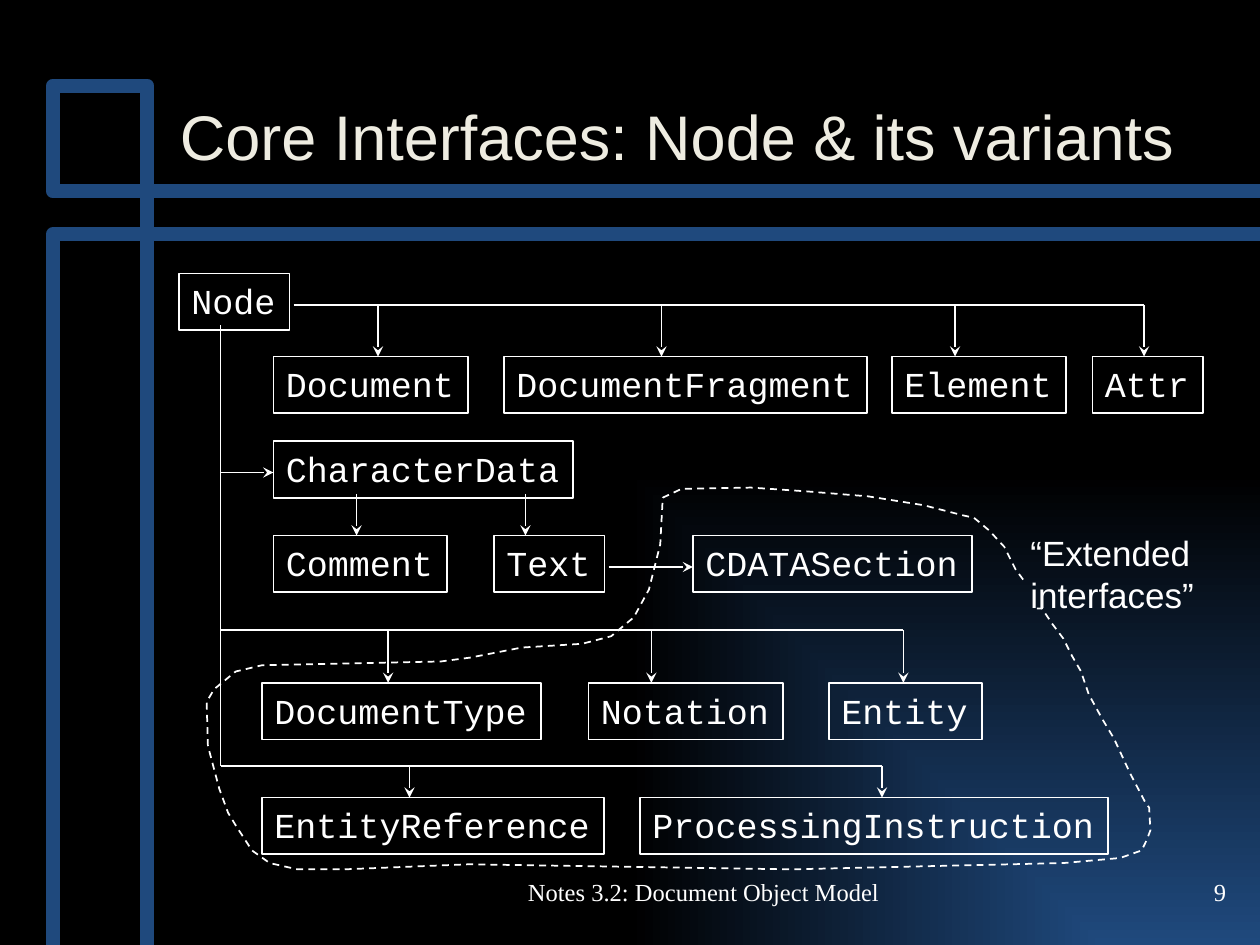
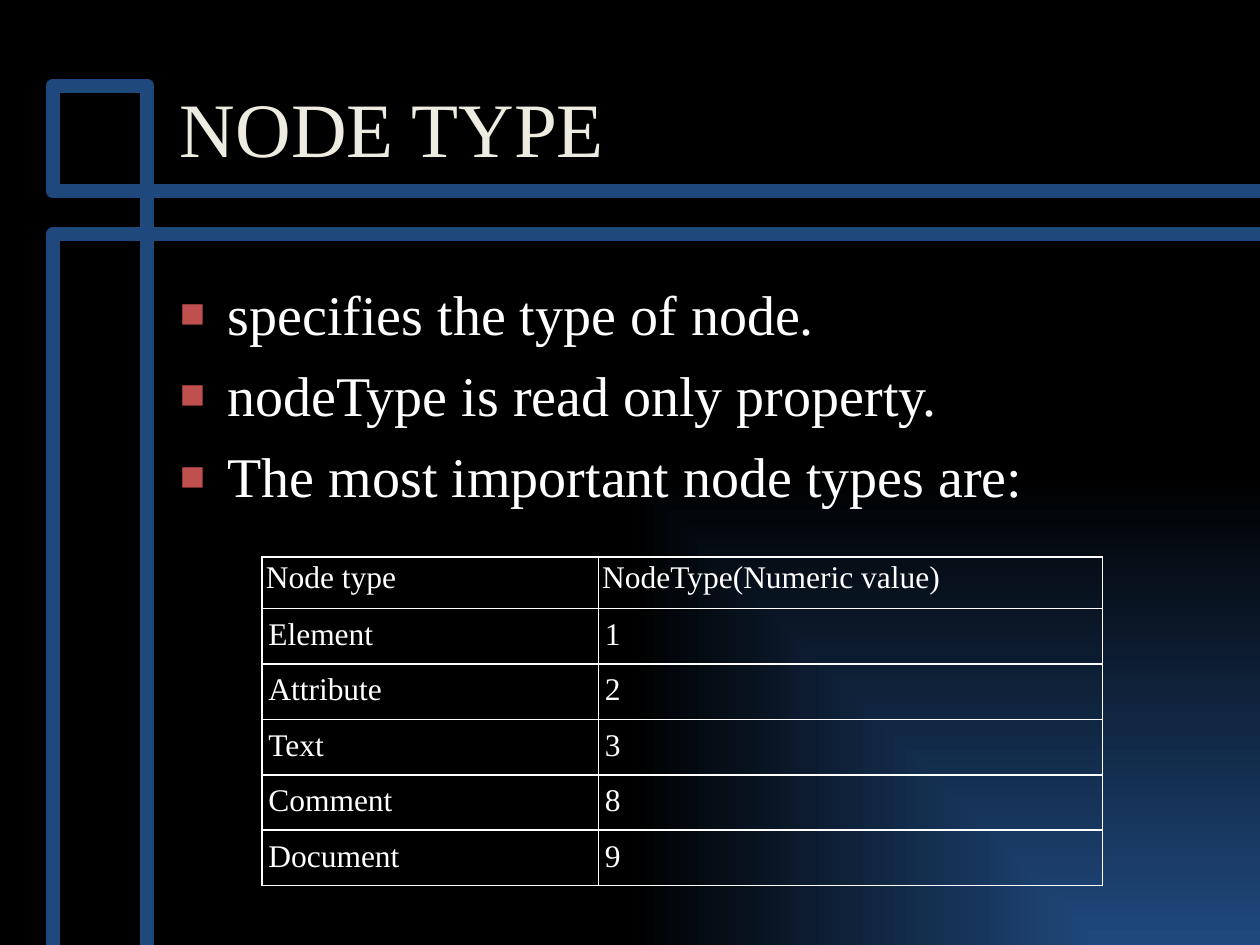
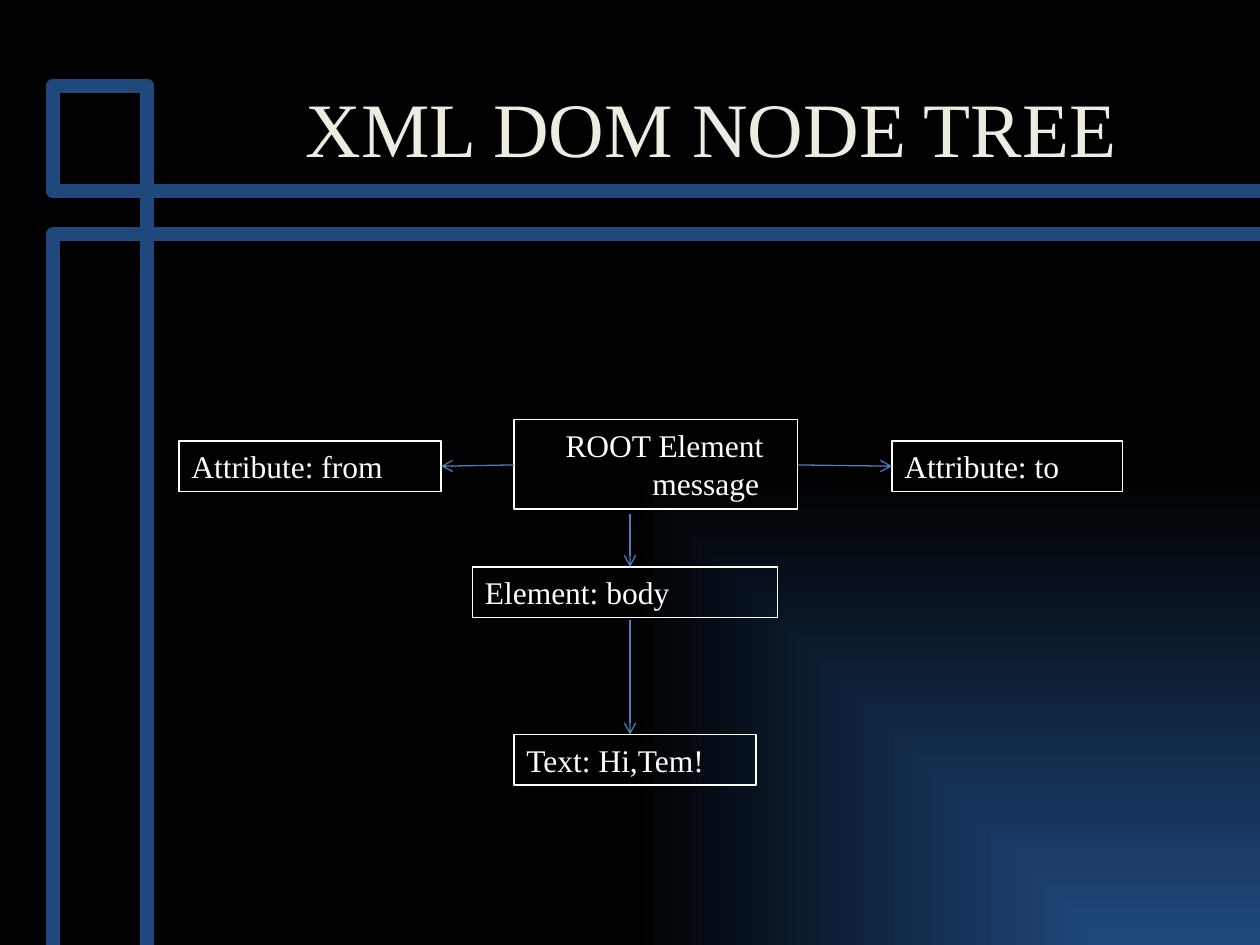
from collections import namedtuple

from lxml import etree
from pptx import Presentation
from pptx import util as u
from pptx.dml.color import RGBColor
from pptx.enum import dml, shapes, text
from pptx.oxml.ns import qn

NAVY = RGBColor(0x1F, 0x49, 0x7D)
BLACK = RGBColor(0, 0, 0)
WHITE = RGBColor(0xFF, 0xFF, 0xFF)
CREAM = RGBColor(0xEE, 0xEC, 0xE1)
RED = RGBColor(0xC0, 0x50, 0x4D)
BLUE = RGBColor(0x4B, 0x7E, 0xBC)

SERIF, SANS, MONO = "Times New Roman", "Arial", "Courier New"
TOP, MIDDLE, BOTTOM = (text.MSO_ANCHOR.TOP, text.MSO_ANCHOR.MIDDLE,
                       text.MSO_ANCHOR.BOTTOM)
LEFT, CENTER, RIGHT = (text.PP_ALIGN.LEFT, text.PP_ALIGN.CENTER,
                       text.PP_ALIGN.RIGHT)

Box = namedtuple("Box", "left top width height")
SLIDE = Box(0, 0, 10, 7.5)
TITLE = Box(1.33, 0.23, 8.5, 1.19)
BODY = Box(1.33, 2.17, 8.5, 4.5)
TABLE = Box(2.08, 4.42, 6.67, 2.46)
INTERFACES = Box(1.42, 2.17, 8.13, 4.8)
EXTENDED = Box(1.64, 3.85, 7.49, 3.09)
TREE = Box(1.42, 3.33, 7.49, 2.9)
FOOTER = Box(4, 6.83, 3.17, 0.5)
NUMBER = Box(7.75, 6.83, 2.08, 0.5)

OUTLINE = [
    (6.48, 0.75), (6.42, 0.67), (6.4, 0.63), (6.33, 0.49), (6.21, 0.36),
    (6.09, 0.26), (6, 0.24), (5.69, 0.16), (5.25, 0.09), (4.76, 0.05),
    (4.32, 0.02), (3.77, 0.03), (3.62, 0.1), (3.6, 0.47), (3.51, 0.83),
    (3.39, 1.05), (3.21, 1.2), (2.98, 1.26), (2.5, 1.29), (2.09, 1.37),
    (1.86, 1.4), (0.44, 1.43), (0.23, 1.48), (0.06, 1.62), (0, 1.72),
    (0.01, 2.07), (0.1, 2.41), (0.17, 2.6), (0.23, 2.7), (0.36, 2.9),
    (0.5, 3), (0.72, 3.05), (1.09, 3.05), (2.08, 3.01), (4.64, 3.05),
    (6.8, 3), (7.25, 2.96), (7.42, 2.9), (7.46, 2.82), (7.49, 2.74),
    (7.48, 2.56), (7.45, 2.52), (7.33, 2.29), (7.2, 2.01), (7.11, 1.86),
    (7, 1.66), (6.94, 1.48), (6.87, 1.36), (6.8, 1.22), (6.71, 1.1),
    (6.63, 0.98), (6.59, 0.98),
]


def assign(target, values):
    for name, value in values.items():
        setattr(target, name, value)


def inches(values):
    return [u.Inches(value) for value in values]


def inside(region, left, top, width=0, height=0):
    return Box(region.left + left, region.top + top, width, height)


def set_line(shape, color, width):
    shape.line.color.rgb = color
    shape.line.width = u.Pt(width)


def write(frame, lines, font, size, color=WHITE, align=LEFT, indents=(),
          **frame_format):
    assign(frame, {"word_wrap": True, "vertical_anchor": TOP} | frame_format)
    for index, line in enumerate(lines):
        para = frame.add_paragraph() if index else frame.paragraphs[0]
        para.alignment = align
        if indents:
            para._p.get_or_add_pPr().set("marL", str(u.Inches(indents[index])))
        span = para.add_run()
        span.text = line
        assign(span.font, {"name": font, "size": u.Pt(size)})
        span.font.color.rgb = color


def add_text(page, box, lines, font, size, **options):
    frame = page.shapes.add_textbox(*inches(box)).text_frame
    write(frame, lines, font, size, **options)
    return frame


def add_node(page, box, lines, font, size, line_width, **options):
    node = page.shapes.add_shape(shapes.MSO_SHAPE.RECTANGLE, *inches(box))
    node.shadow.inherit = False
    node.fill.background()
    set_line(node, WHITE, line_width)
    write(node.text_frame, lines, font, size,
          auto_size=text.MSO_AUTO_SIZE.SHAPE_TO_FIT_TEXT, **options)


def add_link(page, region, start, end, color=WHITE, width=1, arrow=None):
    ends = inside(region, *start)[:2] + inside(region, *end)[:2]
    link = page.shapes.add_connector(shapes.MSO_CONNECTOR.STRAIGHT, *inches(ends))
    set_line(link, color, width)
    if arrow:
        etree.SubElement(link.line._get_or_add_ln(), qn("a:tailEnd"), type=arrow)
    etree.SubElement(link._element.spPr, qn("a:effectLst"))


def add_path(page, region, points, color, width):
    places = [inches(inside(region, *point)[:2]) for point in points]
    builder = page.shapes.build_freeform(*places[0])
    builder.add_line_segments(places[1:], close=False)
    path = builder.convert_to_shape()
    path.shadow.inherit = False
    path.fill.background()
    set_line(path, color, width)
    return path


def set_background(master):
    fill = master.background.fill
    fill.gradient()
    for stop, color, position in zip(fill.gradient_stops, (NAVY, BLACK), (0, 1)):
        stop.color.rgb = color
        stop.position = position
    gradient = master._element.find(".//" + qn("a:gradFill"))
    gradient.remove(gradient.find(qn("a:lin")))
    shade = etree.SubElement(gradient, qn("a:path"), attrib={"path": "rect"})
    etree.SubElement(shade, qn("a:fillToRect"), l="100000", t="100000")


def add_page(deck, title, font=SERIF, size=44, indent=0):
    page = deck.slides.add_slide(deck.slide_layouts[6])
    for points in (
        [(10.02, 1.86), (0.42, 1.86), (0.42, 7.5)],
        [(1.17, 7.5), (1.17, 0.68), (0.42, 0.68), (0.42, 1.52), (10.02, 1.52)],
    ):
        add_path(page, SLIDE, points, NAVY, 8)
    add_text(page, TITLE, [title], font, size, color=CREAM,
             indents=[indent], vertical_anchor=BOTTOM)
    return page


def add_footer(page, label, number):
    for box, line, align in ((FOOTER, label, CENTER), (NUMBER, number, RIGHT)):
        add_text(page, box, [line], SERIF, 14, align=align, vertical_anchor=MIDDLE)


def add_interfaces(page, region):
    rows = [
        (0, [("Node", 0)]),
        (0.66, [("Document", 0.75), ("DocumentFragment", 2.58),
                ("Element", 5.66), ("Attr", 7.25)]),
        (1.33, [("CharacterData", 0.75)]),
        (2.08, [("Comment", 0.75), ("Text", 2.5), ("CDATASection", 4.08)]),
        (3.25, [("DocumentType", 0.66), ("Notation", 3.25), ("Entity", 5.16)]),
        (4.16, [("EntityReference", 0.66), ("ProcessingInstruction", 3.66)]),
    ]
    for top, names in rows:
        for name, left in names:
            box = inside(region, left, top, 0.21 + 0.167 * len(name), 0.45)
            add_node(page, box, [name], MONO, 20, 1, word_wrap=False)

    trunk = 0.33
    for start, end in (
        ((0.91, 0.25), (7.66, 0.25)),
        ((trunk, 0.41), (trunk, 3.91)),
        ((trunk, 2.83), (5.75, 2.83)),
        ((trunk, 3.91), (5.58, 3.91)),
    ):
        add_link(page, region, start, end)
    for top, bottom, columns in (
        (0.25, 0.66, (1.58, 3.83, 6.16, 7.66)),
        (1.75, 2.08, (1.41, 2.75)),
        (2.83, 3.25, (1.66, 3.75, 5.75)),
        (3.91, 4.16, (1.83, 5.58)),
    ):
        for left in columns:
            add_link(page, region, (left, top), (left, bottom), arrow="stealth")
    for left, right, top in ((trunk, 0.75, 1.58), (3.41, 4.08, 2.33)):
        add_link(page, region, (left, top), (right, top), arrow="stealth")


def add_extended(page, region):
    outline = add_path(page, region, OUTLINE, WHITE, 1)
    outline.line.dash_style = dml.MSO_LINE.DASH
    add_text(page, inside(region, 6.44, 0.32, 1.54, 0.77),
             ["“Extended", "interfaces”"], SANS, 20, word_wrap=False)


def add_bullets(page, box, lines):
    frame = add_text(page, box, lines, SERIF, 32, indents=[0.38] * len(lines))
    for index, para in enumerate(frame.paragraphs):
        props = para._p.get_or_add_pPr()
        props.set("indent", str(u.Inches(-0.38)))
        color = etree.SubElement(props, qn("a:buClr"))
        etree.SubElement(color, qn("a:srgbClr"), val=str(RED))
        etree.SubElement(props, qn("a:buSzPct"), val="75000")
        etree.SubElement(props, qn("a:buFont"), typeface=SANS)
        etree.SubElement(props, qn("a:buChar"), char="■")
        if index:
            para.space_before = u.Pt(8)


def add_borders(cell):
    props = cell._tc.get_or_add_tcPr()
    for side in "LRTB":
        line = etree.SubElement(props, qn("a:ln" + side), w=str(u.Pt(1)))
        fill = etree.SubElement(line, qn("a:solidFill"))
        etree.SubElement(fill, qn("a:srgbClr"), val=str(WHITE))


def add_type_table(page, box, rows):
    table = page.shapes.add_table(len(rows), 2, *inches(box)).table
    assign(table, {"first_row": False, "horz_banding": False})
    for column, width in zip(table.columns, (2.67, 4)):
        column.width = u.Inches(width)
    for index, values in enumerate(rows):
        table.rows[index].height = u.Inches(0.41)
        side, end = (0.05, 0.07) if index else (0.03, 0.03)
        for cell, value in zip(table.rows[index].cells, values):
            assign(cell, {"margin_left": u.Inches(side),
                          "margin_right": u.Inches(side),
                          "margin_top": u.Inches(end),
                          "margin_bottom": u.Inches(end)})
            add_borders(cell)
            cell.fill.background()
            write(cell.text_frame, [value], SERIF, 18)


def add_tree(page, region):
    add_node(page, inside(region, 2.66, 0, 2.25, 0.71),
             ["ROOT Element", "message"], SERIF, 18, 0.75, indents=[0.31, 1])
    for label, left, top, width in (
        ("Attribute: from", 0, 0.17, 2.08),
        ("Attribute: to", 5.66, 0.17, 1.83),
        ("Element: body", 2.33, 1.17, 2.42),
        ("Text: Hi,Tem!", 2.66, 2.5, 1.92),
    ):
        add_node(page, inside(region, left, top, width, 0.4),
                 [label], SERIF, 18, 0.75)
    for start, end in (
        ((3.58, 0.75), (3.58, 1.17)),
        ((3.58, 1.59), (3.58, 2.5)),
        ((2.66, 0.36), (2.08, 0.37)),
        ((4.91, 0.36), (5.66, 0.37)),
    ):
        add_link(page, region, start, end, BLUE, 0.75, "arrow")


def main():
    deck = Presentation()
    assign(deck, {"slide_width": u.Inches(SLIDE.width),
                  "slide_height": u.Inches(SLIDE.height)})
    set_background(deck.slide_master)

    page = add_page(deck, "Core Interfaces: Node & its variants", SANS, 36)
    add_footer(page, "Notes 3.2: Document Object Model", "9")
    add_interfaces(page, INTERFACES)
    add_extended(page, EXTENDED)

    page = add_page(deck, "NODE TYPE")
    add_bullets(page, BODY, ["specifies the type of node.",
                             "nodeType is read only property.",
                             "The most important node types are:"])
    add_type_table(page, TABLE, [("Node type", "NodeType(Numeric value)"),
                                 ("Element", "1"), ("Attribute", "2"),
                                 ("Text", "3"), ("Comment", "8"),
                                 ("Document", "9")])

    page = add_page(deck, "XML DOM NODE TREE", indent=1)
    add_tree(page, TREE)

    deck.save("out.pptx")


if __name__ == "__main__":
    main()
